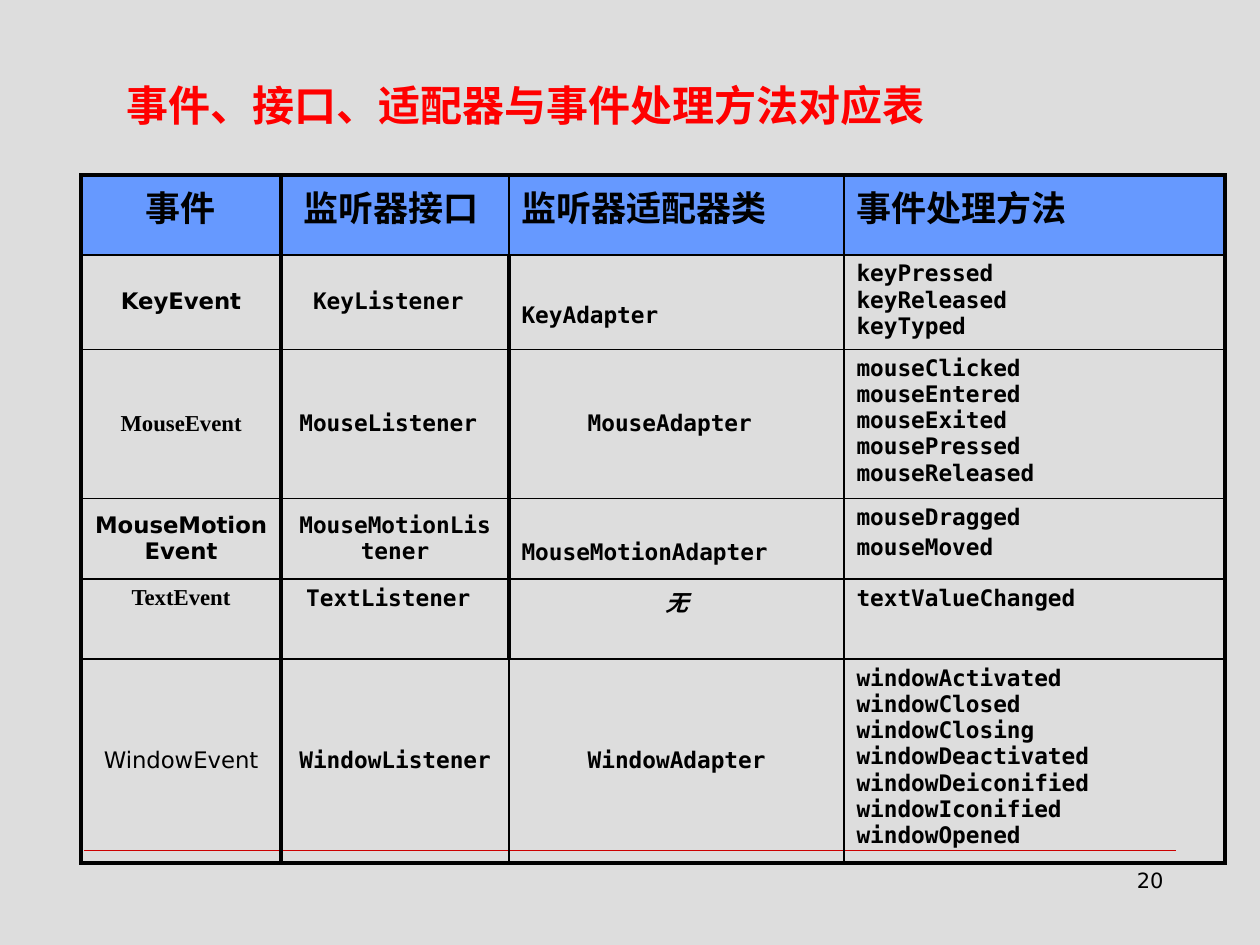
from dataclasses import dataclass

from lxml import etree
from pptx import Presentation
from pptx.dml.color import RGBColor
from pptx.enum.shapes import MSO_CONNECTOR
from pptx.enum.text import MSO_ANCHOR, MSO_AUTO_SIZE, PP_ALIGN
from pptx.oxml.ns import qn
from pptx.util import Emu, Pt

LEFT, CENTER, RIGHT, JUSTIFY = PP_ALIGN.LEFT, PP_ALIGN.CENTER, PP_ALIGN.RIGHT, PP_ALIGN.JUSTIFY
TOP, MIDDLE = MSO_ANCHOR.TOP, MSO_ANCHOR.MIDDLE
NO_FIT = MSO_AUTO_SIZE.NONE
STRAIGHT = MSO_CONNECTOR.STRAIGHT

EMU_PER_PX = 914400 / 126
SANS, MONO, SERIF = "DejaVu Sans", "DejaVu Sans Mono", "Times New Roman"
THIN, THICK = 1, 2.25


def px(n):
    return Emu(round(n * EMU_PER_PX))


def rgb(value):
    return RGBColor.from_string(value)


@dataclass
class Cell:
    """Text of one cell: a newline is a line break, a list item a paragraph."""
    paragraphs: list
    font: str = MONO
    size: int = 13
    bold: bool = True
    italic: bool = False
    align: int = CENTER
    anchor: int = MIDDLE
    drop: int = 0  # extra top margin in px
    fill: str = ""


class SlideBuilder:
    ink = "000000"

    def __init__(self, prs, background):
        self.s = prs.slides.add_slide(prs.slide_layouts[5])
        self.s.background.fill.solid()
        self.s.background.fill.fore_color.rgb = rgb(background)

    def add_text(self, p, text, font, size, bold=False, italic=False, color=ink, align=LEFT):
        p.alignment = align
        for i, line in enumerate(text.split("\n")):
            if i:
                p.add_line_break()
            r = p.add_run()
            r.text = line
            r.font.name, r.font.size = font, Pt(size)
            r.font.bold, r.font.italic = bold, italic
            r.font.color.rgb = rgb(color)

    def title(self, text, x, y, w, h):
        sp = self.s.shapes.title
        sp.left, sp.top, sp.width, sp.height = map(px, (x, y, w, h))
        tf = sp.text_frame
        tf.auto_size, tf.vertical_anchor = NO_FIT, TOP
        self.add_text(tf.paragraphs[0], text, SERIF, 24, bold=True, color="FF0000")

    def text(self, text, x, y, w, h, size, align):
        tf = self.s.shapes.add_textbox(*map(px, (x, y, w, h))).text_frame
        tf.word_wrap = True
        self.add_text(tf.paragraphs[0], text, SANS, size, align=align)

    def line(self, x1, y1, x2, y2, color, width):
        c = self.s.shapes.add_connector(STRAIGHT, *map(px, (x1, y1, x2, y2)))
        c.line.color.rgb, c.line.width = rgb(color), Pt(width)
        etree.SubElement(c._element.spPr, qn("a:effectLst"))

    def borders(self, cell, widths):
        """Widths are in points, in the order left, right, top, bottom."""
        tc_pr = cell._tc.get_or_add_tcPr()
        for i, (side, width) in enumerate(zip("LRTB", widths)):
            ln = etree.Element(qn(f"a:ln{side}"), w=str(Pt(width)))
            fill = etree.SubElement(ln, qn("a:solidFill"))
            etree.SubElement(fill, qn("a:srgbClr"), val=self.ink)
            tc_pr.insert(i, ln)

    def fill_cell(self, cell, spec):
        cell.vertical_anchor = spec.anchor
        cell.margin_top = px(6 + spec.drop)
        if spec.fill:
            cell.fill.solid()
            cell.fill.fore_color.rgb = rgb(spec.fill)
        else:
            cell.fill.background()
        tf = cell.text_frame
        for i, text in enumerate(spec.paragraphs):
            p = tf.add_paragraph() if i else tf.paragraphs[0]
            if i:
                p.space_before = Pt(0.2 * spec.size)
            self.add_text(p, text, spec.font, spec.size, spec.bold, spec.italic, align=spec.align)

    def table(self, rows, x, y, widths, heights):
        frame = self.s.shapes.add_table(len(rows), len(widths),
                                        *map(px, (x, y, sum(widths), sum(heights))))
        table = frame.table
        table.first_row = table.horz_banding = False
        for column, width in zip(table.columns, widths):
            column.width = px(width)
        last = len(rows) - 1
        for i, (row, height) in enumerate(zip(rows, heights)):
            table.rows[i].height = px(height)
            middle = THIN if i in (0, last) else THICK
            edges = [THICK, THICK, middle, THIN, THICK]
            for j, spec in enumerate(row):
                cell = table.cell(i, j)
                self.fill_cell(cell, spec)
                self.borders(cell, (edges[j], edges[j + 1],
                                    THIN if i else THICK, THIN if i < last else THICK))


def heading(text, align=LEFT):
    return Cell([text], SERIF, 20, align=align, anchor=TOP, fill="6699FF")


def methods(*names):
    return Cell([" \n".join(names)], align=LEFT, anchor=TOP)


def low_adapter(name):
    return Cell([name], align=LEFT, drop=28)


ROWS = [
    [heading("事件", CENTER), heading("监听器接口 ", CENTER),
     heading("监听器适配器类"), heading("事件处理方法")],
    [Cell(["KeyEvent"], SANS), Cell(["KeyListener "]), low_adapter("KeyAdapter"),
     methods("keyPressed", "keyReleased", "keyTyped")],
    [Cell(["MouseEvent"], SERIF), Cell(["MouseListener "]), Cell(["MouseAdapter "]),
     methods("mouseClicked", "mouseEntered", "mouseExited", "mousePressed", "mouseReleased")],
    [Cell(["MouseMotionEvent"], SANS), Cell(["MouseMotionListener"]),
     low_adapter("MouseMotionAdapter"),
     Cell(["mouseDragged ", "mouseMoved "], align=JUSTIFY, anchor=TOP)],
    [Cell(["TextEvent"], SERIF, anchor=TOP), Cell(["TextListener "], anchor=TOP),
     Cell(["无"], SERIF, italic=True, anchor=TOP),
     Cell(["textValueChanged"], align=JUSTIFY, anchor=TOP)],
    [Cell(["WindowEvent"], SANS, bold=False), Cell(["WindowListener "]), Cell(["WindowAdapter"]),
     methods("windowActivated", "windowClosed", "windowClosing", "windowDeactivated",
             "windowDeiconified", "windowIconified", "windowOpened")],
]


def main():
    prs = Presentation()
    prs.slide_width, prs.slide_height = px(1260), px(945)
    b = SlideBuilder(prs, "DDDDDD")
    b.line(84, 850, 1176, 850, "CC0000", 0.25)
    b.text("20", 903, 861, 273, 66, 12, RIGHT)
    b.table(ROWS, 81, 175, [200, 228, 335, 381], [80, 94, 149, 81, 80, 204])
    b.title("事件、接口、适配器与事件处理方法对应表", 114, 73, 1022, 63)
    prs.save("out.pptx")


if __name__ == "__main__":
    main()
